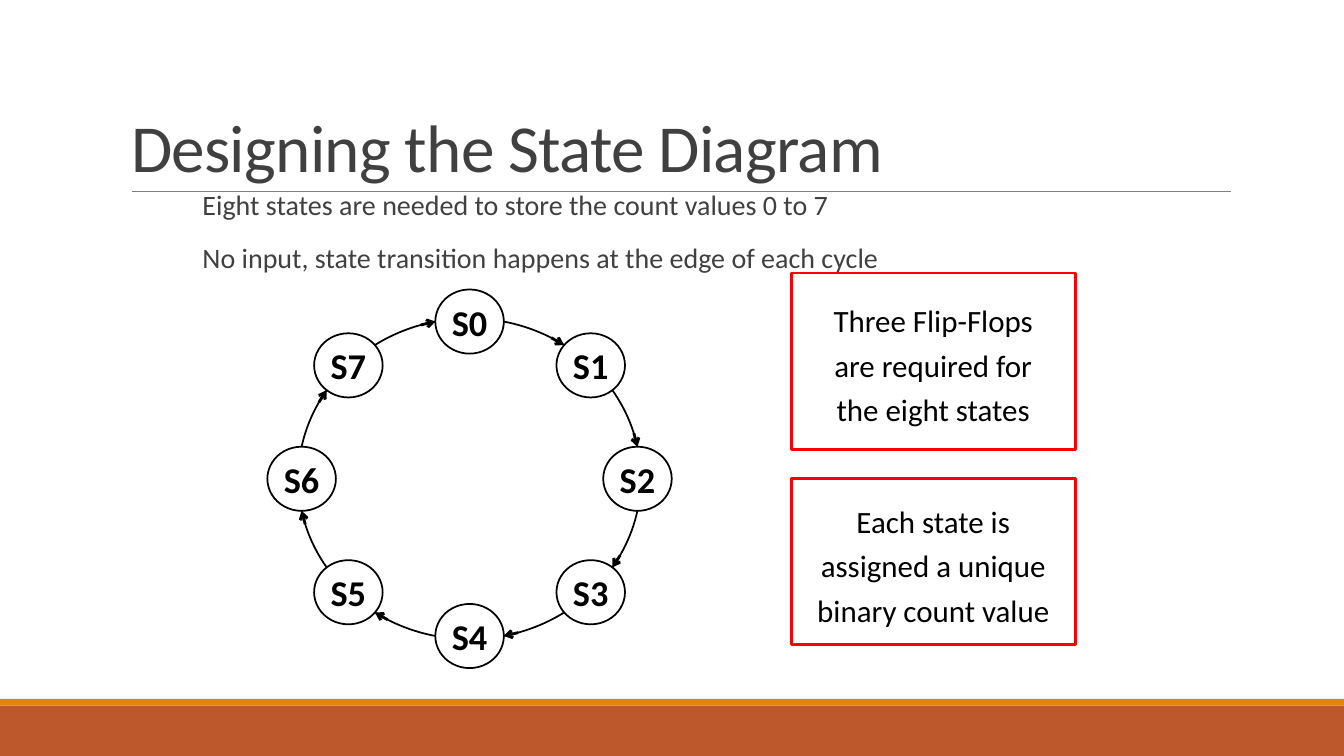
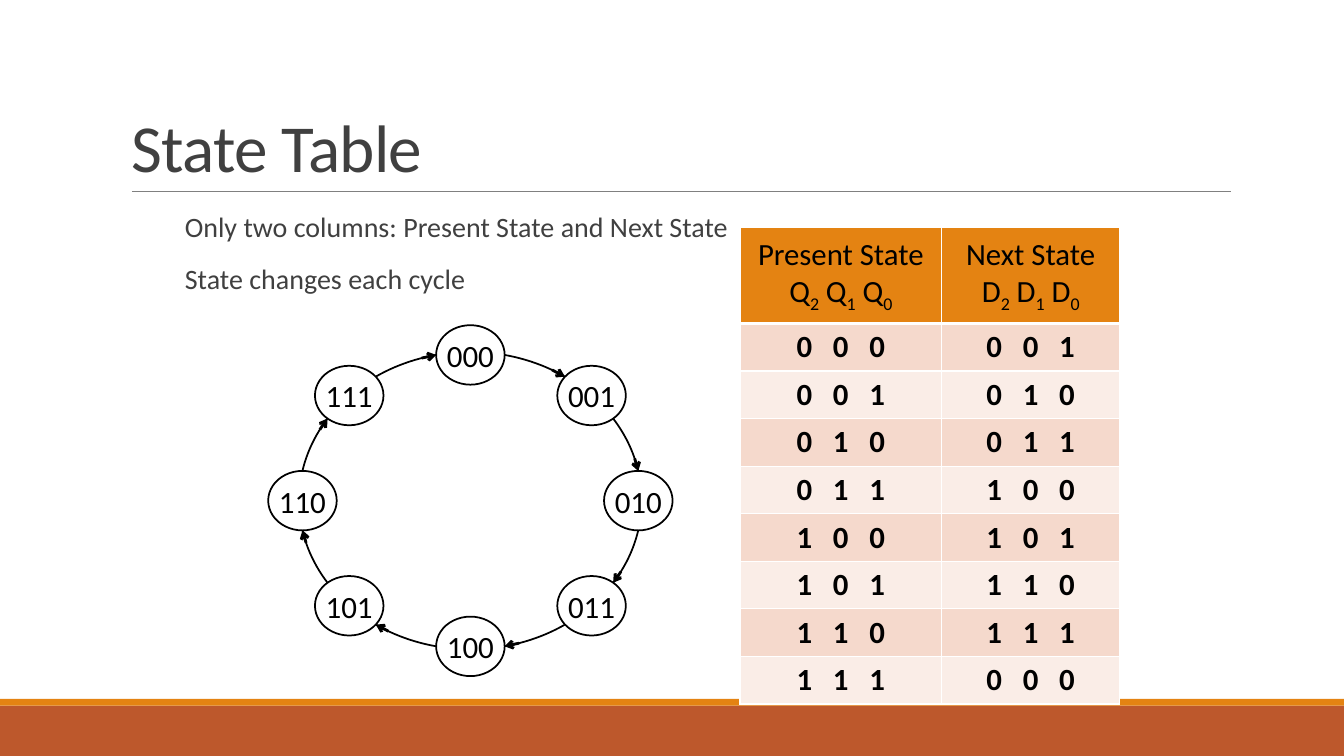
import math

import lxml.etree
import pptx
import pptx.dml.color
import pptx.enum.shapes
import pptx.enum.text
import pptx.oxml
import pptx.oxml.ns
import pptx.util

Color = pptx.dml.color.RGBColor
Shape = pptx.enum.shapes.MSO_SHAPE
Align = pptx.enum.text.PP_ALIGN
Anchor = pptx.enum.text.MSO_ANCHOR
Pt = pptx.util.Pt
qn = pptx.oxml.ns.qn

# The slide is a grid of square cells
COLS, ROWS = 160, 90
CELL = pptx.util.Inches(1 / 12)
PAD = pptx.util.Inches(0.05)

FONT = "Calibri"
BLACK = Color(0x00, 0x00, 0x00)
WHITE = Color(0xFF, 0xFF, 0xFF)
GRAY = Color(0x40, 0x40, 0x40)
RULE = Color(0x80, 0x80, 0x80)
RED = Color(0xFF, 0x00, 0x00)
RUST = Color(0xBD, 0x58, 0x2C)
AMBER = Color(0xE4, 0x83, 0x12)
ROSE = Color(0xF5, 0xD9, 0xCC)
BLUSH = Color(0xFA, 0xED, 0xE7)


def grid(*cells):
    return [round(n * CELL) for n in cells]


def place(item, box):
    item.left, item.top, item.width, item.height = grid(*box)


def add_run(para, text, size, color=BLACK, bold=False):
    run = para.add_run()
    run.text = text
    font = run.font
    font.name, font.size, font.bold = FONT, Pt(size), bold
    font.color.rgb = color
    return run


def write(frame, lines, size, color=BLACK, bold=False, align=Align.CENTER):
    """Write one paragraph per line and return the paragraphs."""
    paras = []
    for i, line in enumerate(lines):
        para = frame.add_paragraph() if i else frame.paragraphs[0]
        para.alignment = align
        add_run(para, line, size, color, bold)
        paras.append(para)
    return paras


def inset(frame, side, edge):
    frame.margin_left = frame.margin_right = side
    frame.margin_top = frame.margin_bottom = edge


def add_shape(shapes, kind, box, fill=None, line=None, width=1.25):
    shape = shapes.add_shape(kind, *grid(*box))
    shape.shadow.inherit = False
    if fill is None:
        shape.fill.background()
    else:
        shape.fill.solid()
        shape.fill.fore_color.rgb = fill
    if line is None:
        shape.line.fill.background()
    else:
        shape.line.color.rgb = line
        shape.line.width = Pt(width)
    return shape


def add_line(shapes, start, end, color, width, arrow=False):
    line = shapes.add_connector(
        pptx.enum.shapes.MSO_CONNECTOR.STRAIGHT, *grid(*start, *end))
    line.line.color.rgb = color
    line.line.width = Pt(width)
    props = line.element.spPr
    if arrow:
        tail = lxml.etree.SubElement(props.find(qn("a:ln")), qn("a:tailEnd"))
        tail.set("type", "arrow")
    lxml.etree.SubElement(props, qn("a:effectLst"))
    return line


def set_layout(layout, slide):
    """Move the shared bands and title rule into the layout."""
    shapes = slide.shapes
    parts = [
        add_shape(shapes, Shape.RECTANGLE, (0, 84, COLS, 6), RUST),
        add_shape(shapes, Shape.RECTANGLE, (0, 83.2, COLS, 0.8), AMBER),
        add_line(shapes, (15.7, 22.8), (146.5, 22.8), RULE, 0.5),
    ]
    for part in parts:
        layout.shapes.element.append(part.element)
    place(layout.placeholders[0], (14.4, 3.7, 132, 19.1))


def set_title(slide, text):
    frame = slide.shapes.title.text_frame
    frame.auto_size = pptx.enum.text.MSO_AUTO_SIZE.NONE
    frame.vertical_anchor = Anchor.BOTTOM
    para, = write(frame, [text], 48, GRAY, align=Align.LEFT)
    para.line_spacing = 0.85
    para.runs[0].font._element.set("spc", "-50")


def set_body(slide, box, lines):
    body = slide.placeholders[1]
    place(body, box)
    frame = body.text_frame
    frame.auto_size = pptx.enum.text.MSO_AUTO_SIZE.NONE
    inset(frame, 0, PAD)
    for para in write(frame, lines, 20, GRAY, align=Align.LEFT):
        para.line_spacing = 0.9
        para.space_before, para.space_after = Pt(13.8), Pt(2)
        props = para._p.get_or_add_pPr()
        props.set("marL", "0")
        props.set("indent", "0")
        lxml.etree.SubElement(props, qn("a:buNone"))


def add_ring(slide, box, names, size, bold=False):
    """Draw a clockwise cycle of states on the ellipse that fills the box."""
    left, top, width, height = box
    shapes = slide.shapes.add_group_shape().shapes
    add_shape(shapes, Shape.OVAL, box, line=BLACK)

    def spot(angle, share=1):
        turn = math.radians(angle)
        return (left + width / 2 * (1 + share * math.sin(turn)),
                top + height / 2 * (1 - share * math.cos(turn)))

    step = 360 / len(names)
    wide, high = width / 5, height / 5
    for i, name in enumerate(names):
        x, y = spot(i * step, 1 if i % 2 else 0.98)
        node = add_shape(shapes, Shape.OVAL,
                         (x - wide / 2, y - high / 2, wide, high), WHITE, BLACK)
        frame = node.text_frame
        frame.word_wrap = False
        frame.vertical_anchor = Anchor.MIDDLE
        inset(frame, 0, PAD)
        write(frame, [name], size, bold=bold)
    for i in range(len(names)):
        tip = i * step - 11.5
        add_line(shapes, spot(tip - 5), spot(tip), BLACK, 2, arrow=True)


def add_note(slide, box, lines):
    note = add_shape(slide.shapes, Shape.RECTANGLE, box, line=RED, width=2)
    frame = note.text_frame
    frame.word_wrap = True
    frame.vertical_anchor = Anchor.MIDDLE
    inset(frame, 0, 0)
    for para in write(frame, lines, 22.1):
        para.line_spacing = 1.2


def set_cell(cell, fill, foot=1):
    """Fill a cell and give it white borders, the lower one foot points wide."""
    cell.fill.solid()
    cell.fill.fore_color.rgb = fill
    cell.vertical_anchor = Anchor.MIDDLE
    inset(cell, 0, PAD)
    props = cell._tc.get_or_add_tcPr()
    for i, side in enumerate("LRTB"):
        width = Pt(foot if side == "B" else 1)
        edge = pptx.oxml.parse_xml(
            f'<a:ln{side} {pptx.oxml.ns.nsdecls("a")} w="{width}"><a:solidFill>'
            f'<a:srgbClr val="{WHITE}"/></a:solidFill></a:ln{side}>')
        props.insert(i, edge)


def add_table(slide, left, top, heads, codes):
    """List each code beside the one that follows it."""
    cols, rows = (24, 21.2), [11.4] + [5.3] * len(codes)
    table = slide.shapes.add_table(
        len(rows), len(cols), *grid(left, top, sum(cols), sum(rows))).table
    for col, width in zip(table.columns, grid(*cols)):
        col.width = width
    for row, height in zip(table.rows, grid(*rows)):
        row.height = height

    for c, (head, sign) in enumerate(heads):
        cell = table.cell(0, c)
        set_cell(cell, AMBER, 3)
        frame = cell.text_frame
        write(frame, [head], 22)
        para = frame.add_paragraph()
        para.alignment = Align.CENTER
        for text in (sign, "2", " " + sign, "1", " " + sign, "0"):
            run = add_run(para, text, 22)
            if text.isdigit():
                run.font._element.set("baseline", "-25000")

    for r, code in enumerate(codes):
        after = codes[(r + 1) % len(codes)]
        for c, bits in enumerate((code, after)):
            cell = table.cell(r + 1, c)
            set_cell(cell, BLUSH if r % 2 else ROSE)
            write(cell.text_frame, ["   ".join(bits)], 22, bold=True)


def build_diagram(slide):
    set_title(slide, "Designing the State Diagram")
    set_body(slide, (24.1, 22.2, 103, 11.9), [
        "Eight states are needed to store the count values 0 to 7",
        "No input, state transition happens at the edge of each cycle"])
    add_ring(slide, (35.5, 37.9, 40.8, 38.2),
             [f"S{i}" for i in range(8)], 25.9, bold=True)
    add_note(slide, (94.2, 32.5, 33.8, 21),
             ["Three Flip-Flops", "are required for", "the eight states"])
    add_note(slide, (94.2, 57, 33.8, 19.7),
             ["Each state is", "assigned a unique", "binary count value"])


def build_table(slide):
    codes = [f"{i:03b}" for i in range(8)]
    set_title(slide, "State Table")
    set_body(slide, (22, 24.8, 84, 13.7), [
        "Only two columns: Present State and Next State",
        "State changes each cycle"])
    add_ring(slide, (35.6, 41.9, 40.8, 35.4), codes, 22.1)
    add_table(slide, 88.1, 27.1,
              [("Present State", "Q"), ("Next State", "D")], codes)


def main():
    deck = pptx.Presentation()
    deck.slide_width, deck.slide_height = grid(COLS, ROWS)
    layout = deck.slide_layouts[1]
    first, second = [deck.slides.add_slide(layout) for _ in range(2)]
    set_layout(layout, first)
    build_diagram(first)
    build_table(second)
    deck.save("out.pptx")


if __name__ == "__main__":
    main()
